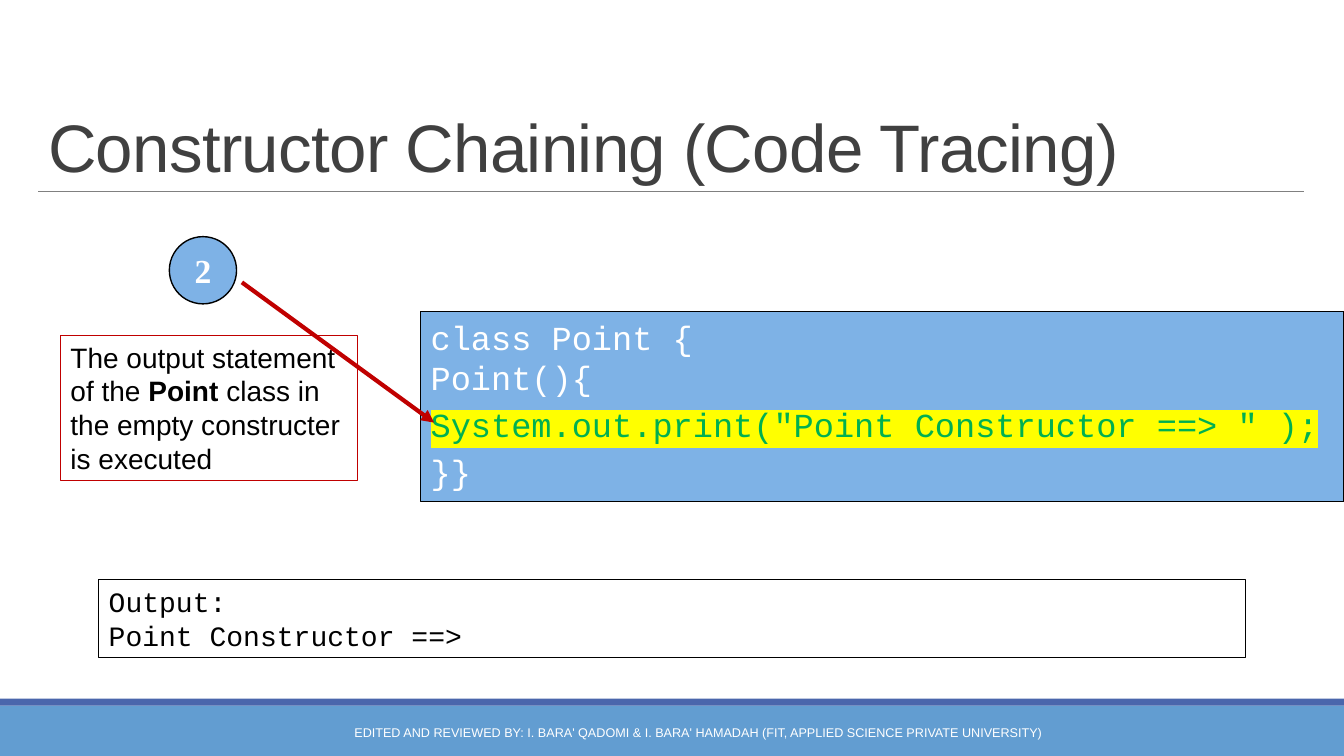
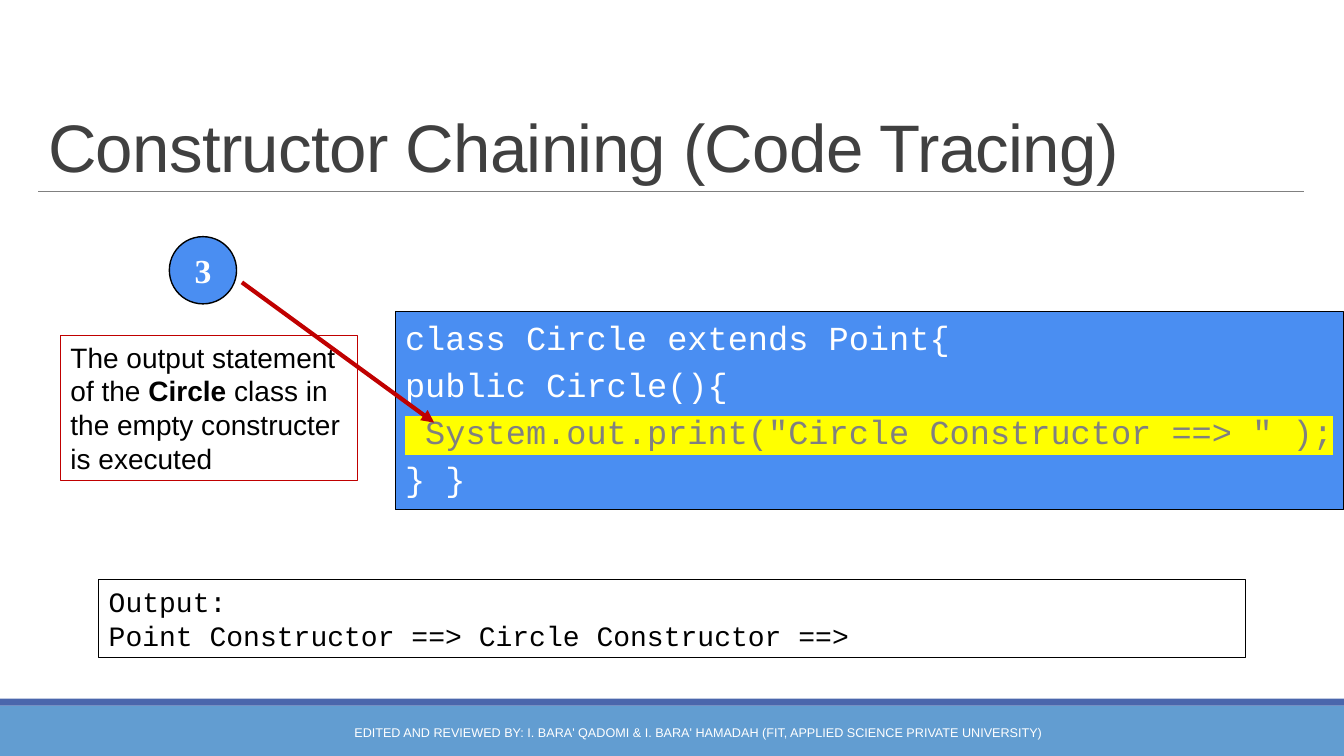
"""Build two slides that trace constructor chaining through a class hierarchy."""
from lxml import etree
from pptx import Presentation
from pptx.dml.color import RGBColor
from pptx.enum.shapes import MSO_CONNECTOR, MSO_SHAPE
from pptx.enum.text import MSO_ANCHOR, PP_ALIGN
from pptx.oxml.ns import qn
from pptx.util import Inches, Pt

RECT, OVAL, STRAIGHT = MSO_SHAPE.RECTANGLE, MSO_SHAPE.OVAL, MSO_CONNECTOR.STRAIGHT
TOP, MIDDLE, BOTTOM = MSO_ANCHOR.TOP, MSO_ANCHOR.MIDDLE, MSO_ANCHOR.BOTTOM
LEFT, CENTER = PP_ALIGN.LEFT, PP_ALIGN.CENTER
SANS, MONO, SERIF = "Arial", "Courier New", "Times New Roman"
COLORS = {
    "white": "FFFFFF", "black": "000000", "title": "404040", "gray": "808080",
    "footer": "629DD1", "stripe": "4A66AC", "red": "C00000", "green": "00B050",
    "point": "7EB2E6", "circle": "4A8EF2", "marker": "FFFF00",
}
TITLE = "Constructor Chaining (Code Tracing)"
CREDIT = ("EDITED AND REVIEWED BY: I. BARA' QADOMI & I. BARA' HAMADAH "
          "(FIT, APPLIED SCIENCE PRIVATE UNIVERSITY)")
STEPS = [
    {"number": "2", "class": "Point", "fill": "point", "marked": "green",
     "left": 31.3, "height": 25.1,
     "code": ["class Point {\vPoint(){",
              'System.out.print("Point Constructor ==> " );',
              "}}"],
     "output": "Point Constructor ==>"},
    {"number": "3", "class": "Circle", "fill": "circle", "marked": "gray",
     "left": 29.4, "height": 26.2,
     "code": ["class Circle extends Point{",
              "public Circle(){",
              ' System.out.print("Circle Constructor ==> " );',
              "} }"],
     "output": "Point Constructor ==> Circle Constructor ==>"},
]

prs = Presentation()
prs.slide_width, prs.slide_height = Inches(13.33), Inches(7.5)
COL, ROW = prs.slide_width / 100, prs.slide_height / 100


def add_box(slide, place, lines=(), font=SANS, size=20, color="black", fill=None,
            line=None, width=0.75, kind=RECT, anchor=TOP, align=LEFT):
    """Add a box placed in percent of the slide and return its text frame."""
    x, y, w, h = place
    area = int(x * COL), int(y * ROW), int(w * COL), int(h * ROW)
    if fill or line:
        box = slide.shapes.add_shape(kind, *area)
        box.shadow.inherit = False
        if fill:
            box.fill.solid()
            box.fill.fore_color.rgb = RGBColor.from_string(COLORS[fill])
        else:
            box.fill.background()
        if line:
            box.line.color.rgb = RGBColor.from_string(COLORS[line])
            box.line.width = Pt(width)
        else:
            box.line.fill.background()
    else:
        box = slide.shapes.add_textbox(*area)
    frame = box.text_frame
    frame.word_wrap = True
    frame.vertical_anchor = anchor
    for index, text in enumerate(lines):
        paragraph = frame.add_paragraph() if index else frame.paragraphs[0]
        paragraph.text = text
        paragraph.alignment = align
        paragraph.font.name = font
        paragraph.font.size = Pt(size)
        paragraph.font.color.rgb = RGBColor.from_string(COLORS[color])
    return frame


def add_line(slide, start, end, color, width):
    """Add a straight line between two points in percent of the slide."""
    (x1, y1), (x2, y2) = start, end
    line = slide.shapes.add_connector(
        STRAIGHT, int(x1 * COL), int(y1 * ROW), int(x2 * COL), int(y2 * ROW))
    line.line.color.rgb = RGBColor.from_string(COLORS[color])
    line.line.width = Pt(width)
    etree.SubElement(line._element.spPr, qn("a:effectLst"))
    return line


for step in STEPS:
    slide = prs.slides.add_slide(prs.slide_layouts[6])
    add_box(slide, (0, 93.33, 100, 6.67), fill="footer")
    add_box(slide, (0, 92.4, 100, 0.93), fill="stripe")
    add_line(slide, (2.85, 25.33), (97.05, 25.33), "gray", 0.5)

    code = add_box(slide, (step["left"], 41.25, 100 - step["left"], step["height"]),
                   step["code"], MONO, 24, "white", step["fill"], "black")
    code.margin_right = 0
    for paragraph in code.paragraphs[1:]:
        paragraph.space_before = Pt(4.8)
    printed = code.paragraphs[-2]
    printed.font.color.rgb = RGBColor.from_string(COLORS[step["marked"]])
    highlight = etree.SubElement(printed.runs[0]._r.get_or_add_rPr(), qn("a:highlight"))
    etree.SubElement(highlight, qn("a:srgbClr"), val=COLORS["marker"])

    title = add_box(slide, (2.85, 4.13, 94.2, 21.2), [TITLE], size=48,
                    color="title", anchor=BOTTOM).paragraphs[0]
    title.line_spacing = 0.85
    title.runs[0]._r.get_or_add_rPr().set("spc", "-50")
    add_box(slide, (23.33, 94.2, 57.2, 5.33), [CREDIT], size=9, color="white",
            anchor=MIDDLE, align=CENTER)

    note = add_box(slide, (4.5, 44.35, 22.1, 19.25), ["The output statement of the "],
                   line="red").paragraphs[0]
    class_name = note.add_run()
    class_name.text = step["class"]
    class_name.font.bold = True
    note.add_run().text = " class in the empty constructer is executed"

    number = add_box(slide, (12.6, 31.3, 5, 8.9), [step["number"]], SERIF, 24, "white",
                     step["fill"], "black", 1, OVAL, MIDDLE, CENTER)
    number.paragraphs[0].font.bold = True
    arrow = add_line(slide, (18, 37.35), (32.3, 55.9), "red", 3)
    etree.SubElement(arrow.line._get_or_add_ln(), qn("a:tailEnd"), type="triangle")
    add_box(slide, (7.35, 76.7, 85.35, 10.3), ["Output:", step["output"]], MONO,
            fill="white", line="black")

prs.save("out.pptx")
